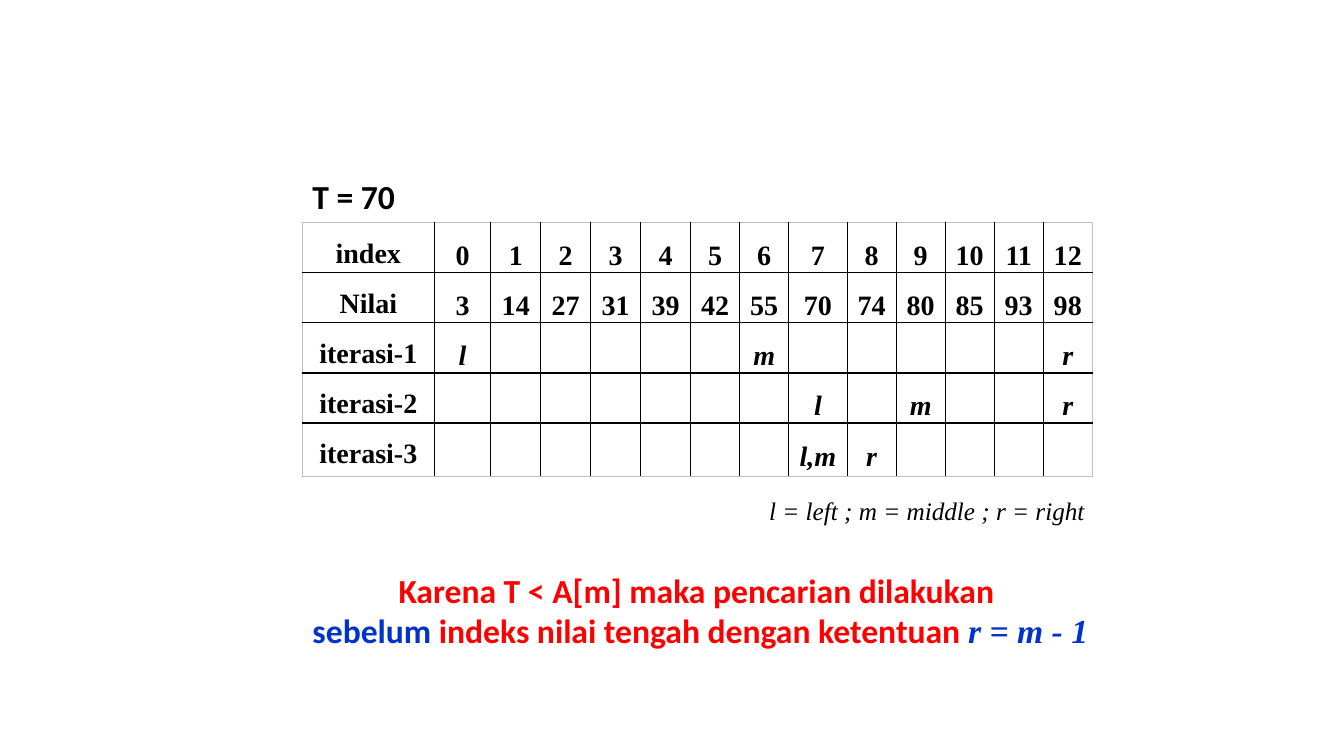
from dataclasses import dataclass

from lxml import etree
from pptx import Presentation, util as u
from pptx.dml.color import RGBColor
from pptx.enum import text as t
from pptx.oxml import ns

HUES = {"black": "000000", "red": "FF0000", "blue": "0033CC", "edge": "BFBFBF"}
SERIF, SANS = "Times New Roman", "Calibri"
WIDE, HIGH = u.Inches(13.33), u.Inches(7.5)


@dataclass
class Run:
    words: str
    size: float
    face: str = SERIF
    hue: str = "black"
    bold: bool = False
    slant: bool = False


@dataclass
class Note:
    box: tuple[float, float, float, float]  # percent of the slide
    lines: list[list[Run]]
    wrap: bool = False
    align: t.PP_ALIGN = t.PP_ALIGN.LEFT


def across(share: float) -> int:
    return round(WIDE * share / 100)


def down(share: float) -> int:
    return round(HIGH * share / 100)


def style(font, run: Run) -> None:
    font.name, font.size = run.face, u.Pt(run.size)
    font.bold, font.italic = run.bold, run.slant
    font.color.rgb = RGBColor.from_string(HUES[run.hue])


def draw_note(slide, note: Note) -> None:
    left, top, width, height = note.box
    box = slide.shapes.add_textbox(across(left), down(top), across(width), down(height))
    frame = box.text_frame
    frame.word_wrap = note.wrap
    frame.auto_size = t.MSO_AUTO_SIZE.SHAPE_TO_FIT_TEXT
    for i, line in enumerate(note.lines):
        para = frame.add_paragraph() if i else frame.paragraphs[0]
        para.alignment = note.align
        for run in line:
            part = para.add_run()
            part.text = run.words
            style(part.font, run)


def draw_edge(cell, side: str, hue: str, width: float) -> None:
    props = cell._tc.get_or_add_tcPr()
    edge = etree.SubElement(props, ns.qn(f"a:{side}"), w=str(u.Pt(width)))
    fill = etree.SubElement(edge, ns.qn("a:solidFill"))
    etree.SubElement(fill, ns.qn("a:srgbClr"), val=HUES[hue])


def draw_table(slide, left: float, top: float, cols: list[float],
               rows: list[float], data: list[list[str]]) -> None:
    grid = slide.shapes.add_table(len(rows), len(cols), across(left), down(top),
                                  across(sum(cols)), down(sum(rows))).table
    grid.first_row = grid.horz_banding = False
    for col, share in zip(grid.columns, cols):
        col.width = across(share)
    for row, share in zip(grid.rows, rows):
        row.height = down(share)
    for r, line in enumerate(data):
        for c, words in enumerate(line):
            cell = grid.cell(r, c)
            cell.margin_left = cell.margin_right = u.Inches(0.07)
            cell.margin_top = cell.margin_bottom = 0
            cell.vertical_anchor = t.MSO_ANCHOR.MIDDLE if c else t.MSO_ANCHOR.TOP
            # Grey rim, black inner lines
            rims = {"lnL": c == 0, "lnR": c == len(cols) - 1,
                    "lnT": r == 0, "lnB": r == len(rows) - 1}
            for side, rim in rims.items():
                draw_edge(cell, side, "edge" if rim else "black", 0.5 if rim else 1)
            cell.fill.background()
            if words:
                para = cell.text_frame.paragraphs[0]
                para.text = words
                para.alignment = t.PP_ALIGN.CENTER
                para.line_spacing = 1.5
                slant = r > 1 and c > 0
                style(para.runs[0].font, Run(words, 20, bold=True, slant=slant))


# Search steps: index and value rows, then the marks of each pass
VALUES = [3, 14, 27, 31, 39, 42, 55, 70, 74, 80, 85, 93, 98]
MARKS = [{0: "l", 6: "m", 12: "r"}, {7: "l", 9: "m", 12: "r"}, {7: "l,m", 8: "r"}]
SPAN = range(len(VALUES))
DATA = [["index", *map(str, SPAN)], ["Nilai", *map(str, VALUES)]]
DATA += [[f"iterasi-{n}", *(marks.get(i, "") for i in SPAN)]
         for n, marks in enumerate(MARKS, 1)]
COLS = [9.82, 4.2] + [3.72] * 4 + [3.65] * 2 + [4.35] + [3.65] * 5
ROWS = [6.62] * 4 + [7.07]

NOTES = [
    # Legend
    Note((56.49, 64.8, 33.46, 5.33),
         [[Run("l = left ; m = middle ; r = right", 18, slant=True)]], wrap=True),
    # Target
    Note((22.5, 22.67, 7.88, 6.67), [[Run("T = 70", 24, SANS, bold=True)]]),
    # Result
    Note((22.06, 74.67, 60.09, 12.13), [
        [Run("Karena T < A[m] maka pencarian dilakukan ", 24, SANS, "red", True)],
        [Run("sebelum ", 24, SANS, "blue", True),
         Run("indeks nilai tengah dengan ketentuan ", 24, SANS, "red", True),
         Run("r = m - 1", 24, SERIF, "blue", True, True)],
    ], align=t.PP_ALIGN.CENTER),
]


def main() -> None:
    deck = Presentation()
    deck.slide_width, deck.slide_height = WIDE, HIGH
    slide = deck.slides.add_slide(deck.slide_layouts[6])
    draw_table(slide, 22.5, 29.47, COLS, ROWS, DATA)
    for note in NOTES:
        draw_note(slide, note)
    deck.save("out.pptx")


if __name__ == "__main__":
    main()
